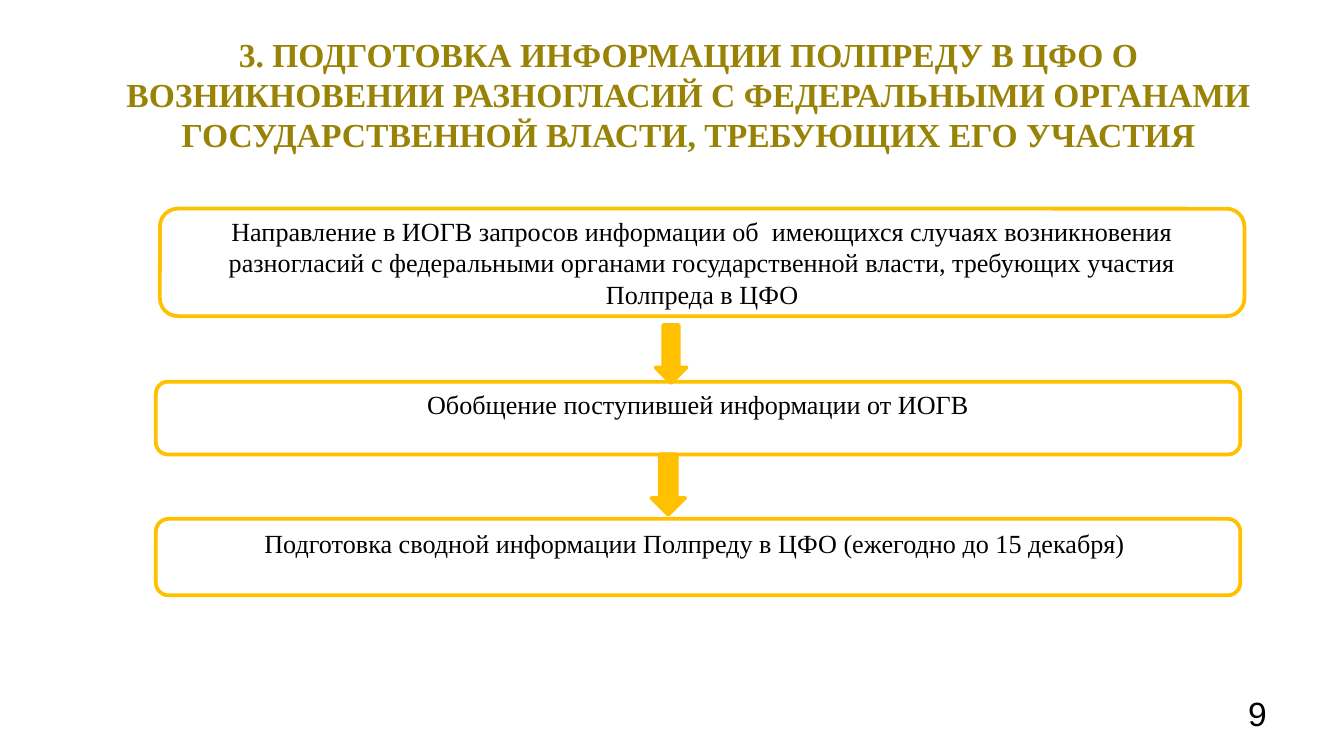
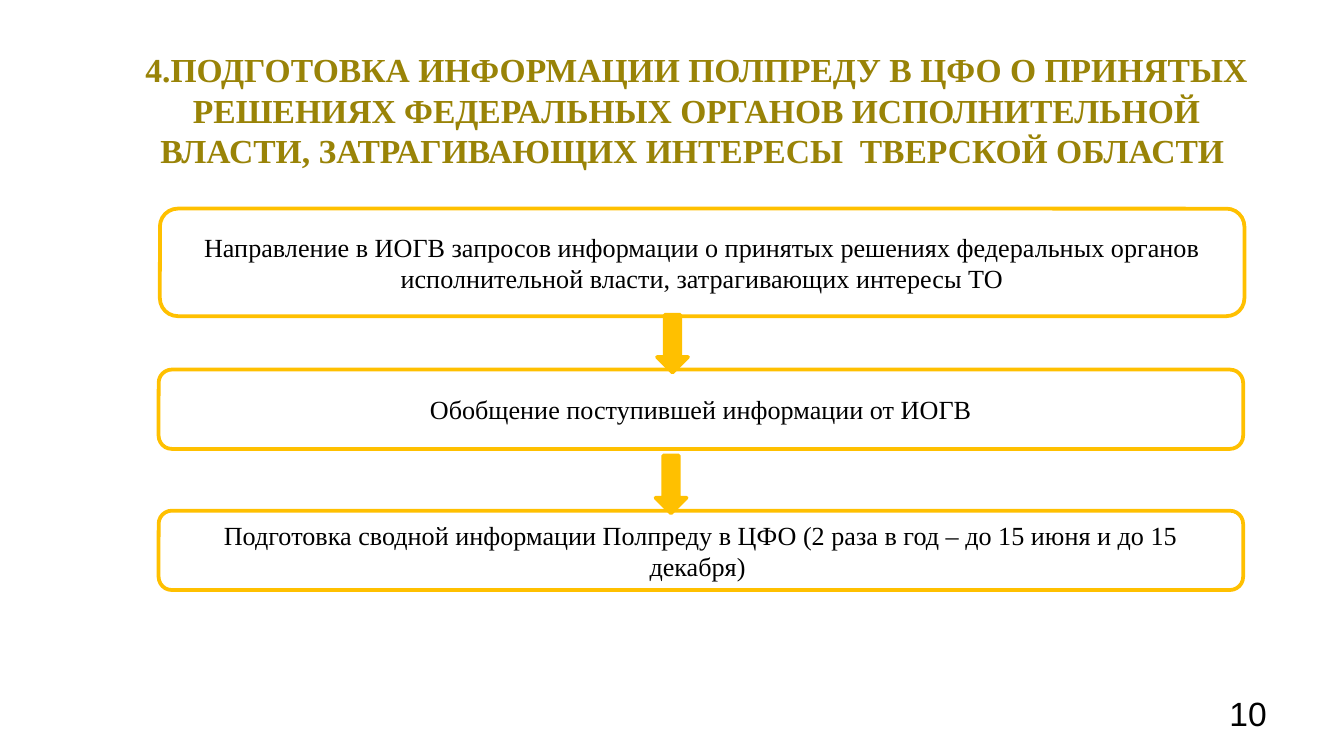
"""Build two process slides, each a title and three boxes linked by arrows."""
from pptx import Presentation
from pptx.dml.color import RGBColor
from pptx.enum.shapes import MSO_SHAPE
from pptx.enum.text import MSO_ANCHOR, MSO_AUTO_SIZE, PP_ALIGN
from pptx.util import Pt

SERIF, SANS = "Times New Roman", "Arial"
OLIVE, GOLD, BLACK = "998307", "FFC000", "000000"
BOX_WIDTH = 581


def color(value):
    """Turn a hex string into a colour."""
    return RGBColor.from_string(value)


class ProcessDeck:
    """Hold the shared style and the current slide."""

    def __init__(self):
        """Start an empty widescreen deck."""
        self.deck = Presentation()
        self.deck.slide_width, self.deck.slide_height = Pt(720), Pt(405)
        self.slide = None

    def set_text(self, shape, text, size, font=SERIF, ink=BLACK, bold=False,
                 align=PP_ALIGN.CENTER, anchor=MSO_ANCHOR.MIDDLE, room_below=0):
        """Fill a shape with one styled paragraph."""
        frame = shape.text_frame
        frame.word_wrap = True
        frame.auto_size = MSO_AUTO_SIZE.NONE
        frame.vertical_anchor = anchor
        frame.margin_left = frame.margin_right = Pt(5.4)
        frame.margin_top, frame.margin_bottom = Pt(2.7), Pt(2.7 + room_below)
        frame.text = text
        paragraph = frame.paragraphs[0]
        paragraph.alignment = align
        paragraph.font.name, paragraph.font.size = font, Pt(size)
        paragraph.font.bold = bold
        paragraph.font.color.rgb = color(ink)

    def page(self, title, left, width, height, number, room_below=0):
        """Add a slide with its title and page number."""
        self.slide = self.deck.slides.add_slide(self.deck.slide_layouts[5])
        heading = self.slide.shapes.title
        heading.left, heading.top = Pt(left), Pt(16.6)
        heading.width, heading.height = Pt(width), Pt(height)
        self.set_text(heading, title, 18, ink=OLIVE, bold=True, room_below=room_below)
        footer = self.slide.shapes.add_textbox(Pt(516), Pt(368.6), Pt(168), Pt(28))
        self.set_text(footer, str(number), 18, font=SANS, align=PP_ALIGN.RIGHT,
                      anchor=MSO_ANCHOR.TOP)

    def outlined(self, kind, left, top, width, height):
        """Add a preset shape with the gold outline."""
        shape = self.slide.shapes.add_shape(kind, Pt(left), Pt(top), Pt(width), Pt(height))
        shape.shadow.inherit = False
        shape.line.color.rgb = color(GOLD)
        shape.line.width = Pt(2)
        return shape

    def box(self, text, left, top, height, room_below=0):
        """Add a rounded step box."""
        shape = self.outlined(MSO_SHAPE.ROUNDED_RECTANGLE, left, top, BOX_WIDTH, height)
        shape.fill.background()
        self.set_text(shape, text, 14, room_below=room_below)

    def arrow(self, left, top, width=16.6, height=31):
        """Add a solid arrow pointing down."""
        shape = self.outlined(MSO_SHAPE.DOWN_ARROW, left, top, width, height)
        shape.fill.solid()
        shape.fill.fore_color.rgb = color(GOLD)


process = ProcessDeck()

process.page("3. ПОДГОТОВКА ИНФОРМАЦИИ ПОЛПРЕДУ В ЦФО О ВОЗНИКНОВЕНИИ РАЗНОГЛАСИЙ "
             "С ФЕДЕРАЛЬНЫМИ ОРГАНАМИ ГОСУДАРСТВЕННОЙ ВЛАСТИ, ТРЕБУЮЩИХ ЕГО УЧАСТИЯ",
             54, 630, 67.7, 9)
process.box("Направление в ИОГВ запросов информации об  имеющихся случаях "
            "возникновения разногласий с федеральными органами государственной "
            "власти, требующих участия Полпреда в ЦФО", 85.7, 111.8, 57.6)
process.box("Обобщение поступившей информации от ИОГВ", 83.5, 204.5, 39, 15)
process.box("Подготовка сводной информации Полпреду в ЦФО (ежегодно до 15 декабря) ",
            83.5, 278, 41, 15)
process.arrow(351.2, 174.2)
process.arrow(349, 243.4, 18, 32.4)

process.page("4.ПОДГОТОВКА ИНФОРМАЦИИ ПОЛПРЕДУ В ЦФО О ПРИНЯТЫХ РЕШЕНИЯХ "
             "ФЕДЕРАЛЬНЫХ ОРГАНОВ ИСПОЛНИТЕЛЬНОЙ ВЛАСТИ, ЗАТРАГИВАЮЩИХ ИНТЕРЕСЫ  "
             "ТВЕРСКОЙ ОБЛАСТИ ", 62.6, 621.4, 104.4, 10, 20)
process.box("Направление в ИОГВ запросов информации о принятых решениях федеральных "
            "органов исполнительной власти, затрагивающих интересы ТО",
            85.7, 111.8, 57.6)
process.box("Обобщение поступившей информации от ИОГВ", 85, 198, 42.5)
process.box("Подготовка сводной информации Полпреду в ЦФО (2 раза в год – "
            "до 15 июня и до 15 декабря) ", 85, 273.6, 42.5)
process.arrow(352, 168.6)
process.arrow(351.2, 244)

process.deck.save("out.pptx")
